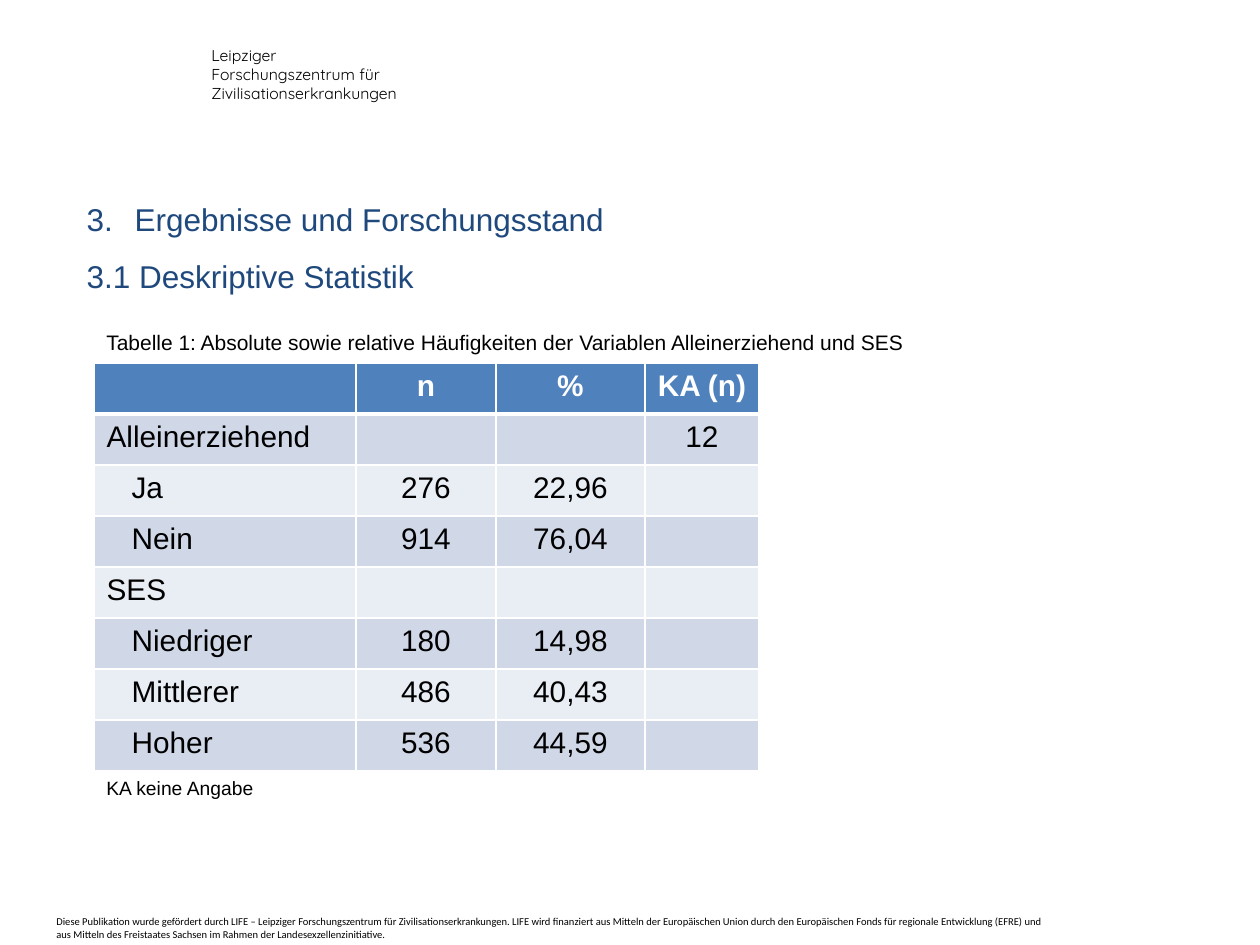
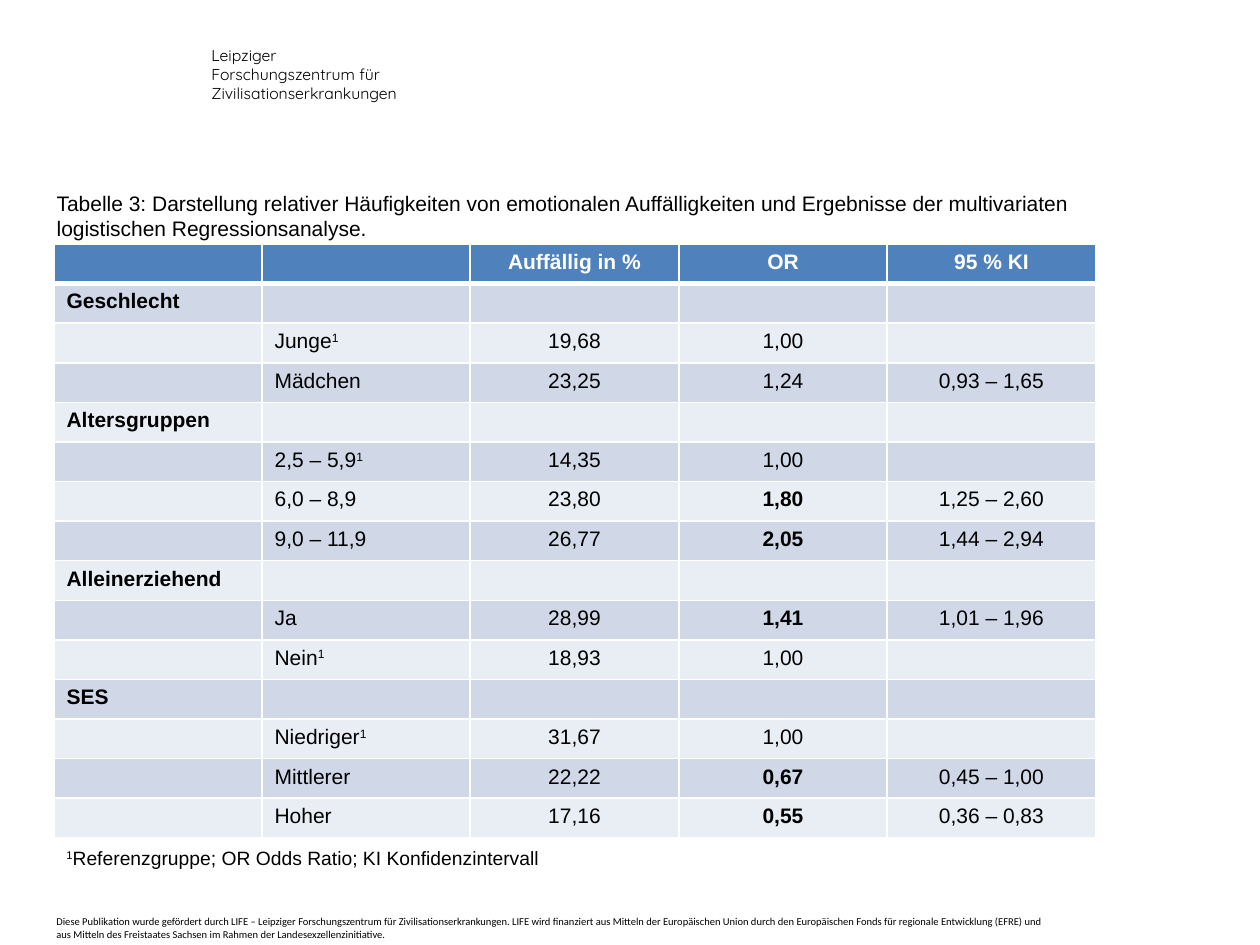
from lxml.etree import SubElement
from pptx import Presentation
from pptx.dml.color import RGBColor
from pptx.enum.text import MSO_ANCHOR, MSO_AUTO_SIZE, PP_ALIGN
from pptx.oxml.ns import qn
from pptx.util import Emu, Pt

# In all texts "^" raises the next character; in cells "*" makes the text bold.
CENTRE_NAME = "Leipziger Forschungszentrum für Zivilisationserkrankungen"
FUNDING = (
    "Diese Publikation wurde gefördert durch LIFE – Leipziger Forschungszentrum für "
    "Zivilisationserkrankungen. LIFE wird finanziert aus Mitteln der Europäischen Union "
    "durch den Europäischen Fonds für regionale Entwicklung (EFRE) und aus Mitteln des "
    "Freistaates Sachsen im Rahmen der Landesexzellenzinitiative."
)
HEADINGS = ["Ergebnisse und Forschungsstand", "3.1 Deskriptive Statistik"]
FIRST_CHAPTER = 3

FREQUENCY_CAPTION = (
    "Tabelle 1: Absolute sowie relative Häufigkeiten der Variablen Alleinerziehend und SES"
)
FREQUENCY_ROWS = [
    ("", "n", "%", "KA (n)"),
    ("Alleinerziehend", "", "", "12"),
    ("Ja", "276", "22,96", ""),
    ("Nein", "914", "76,04", ""),
    ("SES", "", "", ""),
    ("Niedriger", "180", "14,98", ""),
    ("Mittlerer", "486", "40,43", ""),
    ("Hoher", "536", "44,59", ""),
]
FREQUENCY_NOTE = "KA keine Angabe"

REGRESSION_CAPTION = (
    "Tabelle 3: Darstellung relativer Häufigkeiten von emotionalen Auffälligkeiten und "
    "Ergebnisse der multivariaten logistischen Regressionsanalyse."
)
REGRESSION_ROWS = [
    ("", "", "Auffällig in %", "OR", "95 % KI"),
    ("*Geschlecht", "", "", "", ""),
    ("", "Junge^1", "19,68", "1,00", ""),
    ("", "Mädchen", "23,25", "1,24", "0,93 – 1,65"),
    ("*Altersgruppen", "", "", "", ""),
    ("", "2,5 – 5,9^1", "14,35", "1,00", ""),
    ("", "6,0 – 8,9", "23,80", "*1,80", "1,25 – 2,60"),
    ("", "9,0 – 11,9", "26,77", "*2,05", "1,44 – 2,94"),
    ("*Alleinerziehend", "", "", "", ""),
    ("", "Ja", "28,99", "*1,41", "1,01 – 1,96"),
    ("", "Nein^1", "18,93", "1,00", ""),
    ("*SES", "", "", "", ""),
    ("", "Niedriger^1", "31,67", "1,00", ""),
    ("", "Mittlerer", "22,22", "*0,67", "0,45 – 1,00"),
    ("", "Hoher", "17,16", "*0,55", "0,36 – 0,83"),
]
REGRESSION_NOTE = "^1Referenzgruppe; OR Odds Ratio; KI Konfidenzintervall"

BLACK, WHITE, NAVY = "000000", "FFFFFF", "1F497D"
HEADER_FILL, BAND_FILLS = "4F81BD", ("E9EDF4", "D0D8E8")
CENTRE_STYLE = {"name": "Quicksand", "size": Pt(9)}
FUNDING_STYLE = {"name": "Calibri", "size": Pt(6)}
HEADING_STYLE = {"name": "Arial", "size": Pt(18)}
CAPTION_STYLE = {"name": "Arial", "size": Pt(12)}
NOTE_STYLE = {"name": "Arial", "size": Pt(11)}
BIG_CELL_STYLE = {"name": "Arial", "size": Pt(17)}

EMU_PER_PX = 914400 / 126
SLIDE_SIZE = (1260, 945)
LEVEL_INDENT = 25
NUMBER_INDENT = 48
HEADER_MARGIN = 6


def px(length):
    return Emu(round(length * EMU_PER_PX))


def rgb(hex_code):
    return RGBColor.from_string(hex_code)


def add_run(paragraph, text, style, colour):
    run = paragraph.add_run()
    run.text = text
    for name, value in style.items():
        setattr(run.font, name, value)
    run.font.color.rgb = rgb(colour)
    return run


def write(paragraph, text, style, colour=BLACK):
    """Fill a paragraph, raising each character that follows a caret."""
    plain, *raised_parts = text.split("^")
    if plain:
        add_run(paragraph, plain, style, colour)
    for part in raised_parts:
        raised = add_run(paragraph, part[0], style, colour)
        raised.font._element.set("baseline", "30000")
        if part[1:]:
            add_run(paragraph, part[1:], style, colour)


def place(shape, box):
    for name, length in zip(("left", "top", "width", "height"), box):
        setattr(shape, name, px(length))


def add_text(slide, box, text, style):
    shape = slide.shapes.add_textbox(*map(px, box))
    shape.text_frame.word_wrap = True
    write(shape.text_frame.paragraphs[0], text, style)
    return shape


def fill_title(slide, box, lines, style, colour=BLACK, line_spacing=1.0):
    title = slide.shapes.title
    place(title, box)
    frame = title.text_frame
    frame_format = {"word_wrap": True, "auto_size": MSO_AUTO_SIZE.NONE,
                    "vertical_anchor": MSO_ANCHOR.TOP}
    for name, value in frame_format.items():
        setattr(frame, name, value)
    for index, line in enumerate(lines):
        paragraph = frame.add_paragraph() if index else frame.paragraphs[0]
        paragraph.alignment = PP_ALIGN.LEFT
        paragraph.line_spacing = line_spacing
        write(paragraph, line, style, colour)
    return frame.paragraphs


def number(paragraph, start):
    properties = paragraph._p.get_or_add_pPr()
    properties.set("marL", str(px(NUMBER_INDENT)))
    properties.set("indent", str(-px(NUMBER_INDENT)))
    SubElement(properties, qn("a:buFont"), typeface="+mj-lt")
    SubElement(properties, qn("a:buAutoNum"), type="arabicPeriod", startAt=str(start))


def underline_header(cell):
    """Draw the thick white border below a header cell."""
    properties = cell._tc.get_or_add_tcPr()
    line = SubElement(properties, qn("a:lnB"), w=str(Pt(3)))
    fill = SubElement(line, qn("a:solidFill"))
    SubElement(fill, qn("a:srgbClr"), val=WHITE)
    properties.insert(0, line)


def fill_cell(cell, text, style, is_header, is_label, indent):
    paragraph = cell.text_frame.paragraphs[0]
    if not text:
        size = str(int(style["size"].pt * 100))
        SubElement(paragraph._p, qn("a:endParaRPr"), sz=size)
        return
    paragraph.alignment = PP_ALIGN.LEFT if is_label else PP_ALIGN.CENTER
    if indent:
        paragraph._p.get_or_add_pPr().set("marL", str(px(indent)))
    bold = is_header or text.startswith("*")
    write(paragraph, text.lstrip("*"), {**style, "bold": bold},
          WHITE if is_header else BLACK)


def add_data_table(slide, left, top, widths, height, rows, style, label_columns,
                   indented=()):
    frame = slide.shapes.add_table(
        len(rows), len(widths), px(left), px(top), px(sum(widths)), px(height))
    table = frame.table
    for column, width in zip(table.columns, widths):
        column.width = px(width)
    for row_index, values in enumerate(rows):
        table.rows[row_index].height = px(height / len(rows))
        is_header = row_index == 0
        for column_index, text in enumerate(values):
            cell = table.cell(row_index, column_index)
            cell.fill.solid()
            cell.fill.fore_color.rgb = rgb(
                HEADER_FILL if is_header else BAND_FILLS[row_index % 2])
            if is_header:
                cell.margin_left = cell.margin_right = px(HEADER_MARGIN)
                underline_header(cell)
            is_label = column_index < label_columns and not is_header
            indent = LEVEL_INDENT if is_label and text in indented else 0
            fill_cell(cell, text, style, is_header, is_label, indent)


def move_to_layout(shape, layout):
    """Make a shape part of the layout, so that every slide shows it."""
    new_id = max(other.shape_id for other in layout.shapes) + 1
    shape.element.nvSpPr.cNvPr.set("id", str(new_id))
    layout.shapes.element.append(shape.element)


def add_frequency_slide(slide):
    paragraphs = fill_title(slide, (74, 175, 1071, 165), HEADINGS, HEADING_STYLE,
                            NAVY, 1.5)
    number(paragraphs[0], FIRST_CHAPTER)
    add_data_table(slide, 94, 363, (262, 140, 149, 114), 408, FREQUENCY_ROWS,
                   BIG_CELL_STYLE, 1, ("Ja", "Nein", "Niedriger", "Mittlerer", "Hoher"))
    add_text(slide, (94, 323, 843, 38), FREQUENCY_CAPTION, CAPTION_STYLE)
    add_text(slide, (94, 770, 179, 36), FREQUENCY_NOTE, NOTE_STYLE)


def add_regression_slide(slide):
    fill_title(slide, (44, 184, 1062, 63), [REGRESSION_CAPTION], CAPTION_STYLE)
    add_data_table(slide, 54, 244, (208, 208, 209, 208, 209), 594, REGRESSION_ROWS,
                   CAPTION_STYLE, 2)
    add_text(slide, (54, 840, 520, 36), REGRESSION_NOTE, NOTE_STYLE)


def main():
    presentation = Presentation()
    presentation.slide_width, presentation.slide_height = map(px, SLIDE_SIZE)
    layout = presentation.slide_layouts.get_by_name("Title Only")
    first, second = (presentation.slides.add_slide(layout) for _ in range(2))
    for box, text, style in (((199, 40, 229, 50), CENTRE_NAME, CENTRE_STYLE),
                             ((44, 909, 1012, 37), FUNDING, FUNDING_STYLE)):
        move_to_layout(add_text(first, box, text, style), layout)
    add_frequency_slide(first)
    add_regression_slide(second)
    presentation.save("out.pptx")


if __name__ == "__main__":
    main()
